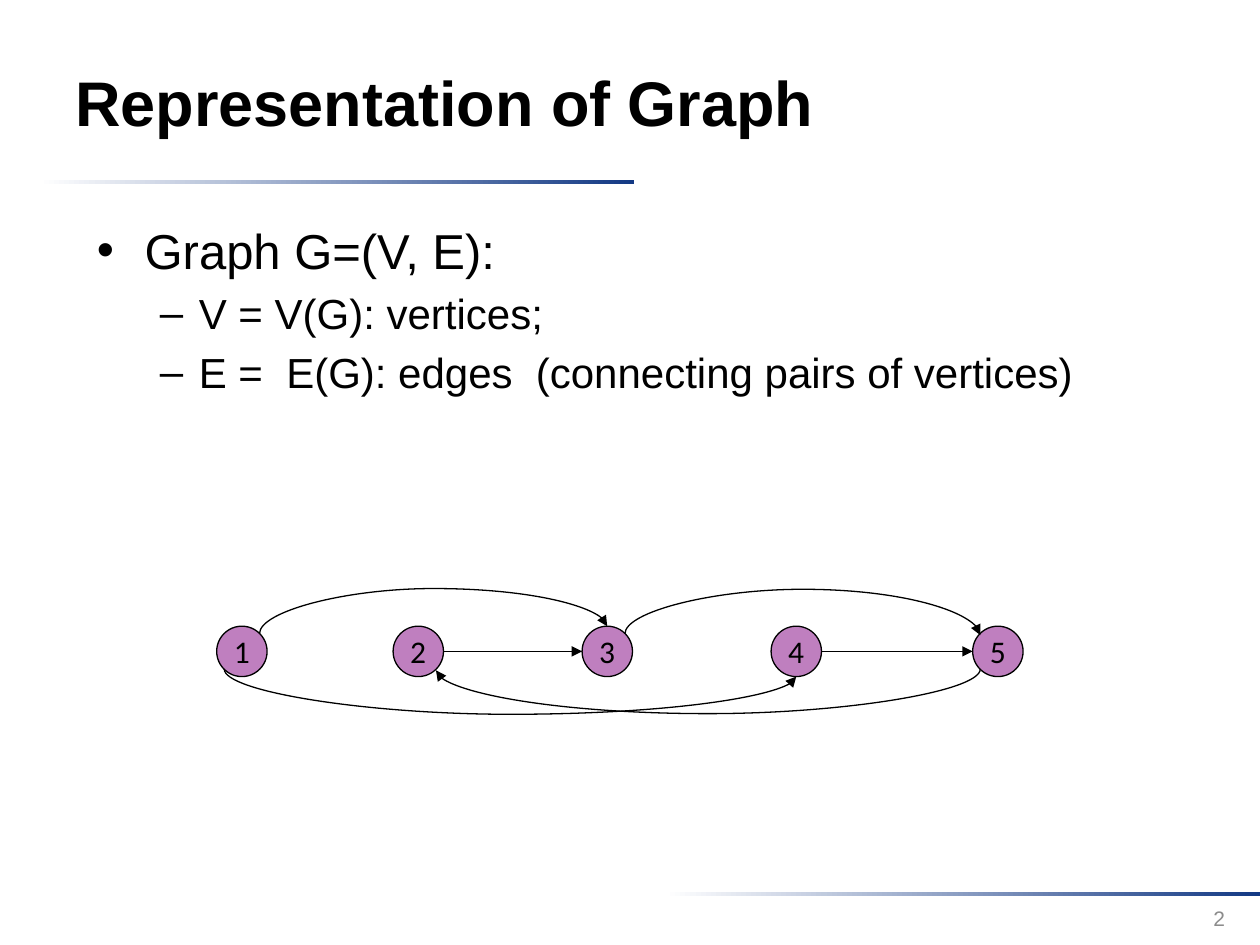
"""Build a slide on graph representation with a five-vertex directed graph."""
from lxml import etree
from pptx import Presentation
from pptx.dml.color import RGBColor
from pptx.enum.shapes import MSO_CONNECTOR, MSO_SHAPE
from pptx.enum.text import MSO_ANCHOR, PP_ALIGN
from pptx.oxml.ns import qn
from pptx.util import Inches, Pt

STRAIGHT, CURVE = MSO_CONNECTOR.STRAIGHT, MSO_CONNECTOR.CURVE
RECTANGLE, OVAL = MSO_SHAPE.RECTANGLE, MSO_SHAPE.OVAL
MIDDLE, TOP = MSO_ANCHOR.MIDDLE, MSO_ANCHOR.TOP
LEFT, CENTER, RIGHT = PP_ALIGN.LEFT, PP_ALIGN.CENTER, PP_ALIGN.RIGHT

BLACK = RGBColor(0x00, 0x00, 0x00)
WHITE = RGBColor(0xFF, 0xFF, 0xFF)
NAVY = RGBColor(0x13, 0x39, 0x84)
PURPLE = RGBColor(0x80, 0x00, 0x80)
GRAY = RGBColor(0x8C, 0x8C, 0x8C)

TITLE = "Representation of Graph"
PAGE_NUMBER = "2"
BULLETS = [
    (0, "Graph G=(V, E):"),
    (1, "V = V(G): vertices;"),
    (1, "E =  E(G): edges  (connecting pairs of vertices)"),
]
BULLET_STYLES = [("•", 28, 0.38, 0.38), ("–", 24, 0.81, 0.31)]
RULES = [(0.31, 1.43), (5.28, 7.08)]

VERTICES = {"1": 1.72, "2": 3.12, "3": 4.62, "4": 6.12, "5": 7.72}
VERTEX_TOP, DIAMETER = 4.97, 0.4
ARC_RISE = 0.3
STRAIGHT_EDGES = [("2", "3"), ("4", "5")]
CURVED_EDGES = [
    ("1", "bottom left", "4", "bottom", "below"),
    ("1", "top right", "3", "top", "above"),
    ("3", "top right", "5", "top left", "above"),
    ("5", "bottom left", "2", "bottom right", "below"),
]
DIAGONAL = 0.35
SITES = {
    "top": (0, 0, -0.5),
    "top left": (1, -DIAGONAL, -DIAGONAL),
    "left": (2, -0.5, 0),
    "bottom left": (3, -DIAGONAL, DIAGONAL),
    "bottom": (4, 0, 0.5),
    "bottom right": (5, DIAGONAL, DIAGONAL),
    "right": (6, 0.5, 0),
    "top right": (7, DIAGONAL, -DIAGONAL),
}
FLATTEST = 0.01


def add_run(paragraph, text, size, color=BLACK, font="Arial", bold=False):
    run = paragraph.add_run()
    run.text = text
    run.font.name, run.font.size = font, Pt(size)
    run.font.bold, run.font.color.rgb = bold, color


def add_text_box(slide, box, anchor):
    frame = slide.shapes.add_textbox(*map(Inches, box)).text_frame
    frame.word_wrap, frame.vertical_anchor = True, anchor
    return frame


def add_line_of_text(slide, box, text, size, color, alignment, bold=False):
    paragraph = add_text_box(slide, box, MIDDLE).paragraphs[0]
    paragraph.alignment = alignment
    add_run(paragraph, text, size, color, bold=bold)


def add_bullets(slide, box):
    frame = add_text_box(slide, box, TOP)
    for index, (level, text) in enumerate(BULLETS):
        paragraph = frame.add_paragraph() if index else frame.paragraphs[0]
        mark, size, margin, hanging = BULLET_STYLES[level]
        paragraph.level, paragraph.space_before = level, Pt(size * 0.2)
        properties = paragraph._p.get_or_add_pPr()
        properties.set("marL", str(Inches(margin)))
        properties.set("indent", str(-Inches(hanging)))
        etree.SubElement(properties, qn("a:buFont"), typeface="Arial")
        etree.SubElement(properties, qn("a:buChar"), char=mark)
        add_run(paragraph, text, size)


def add_rule(slide, left, top):
    rule = slide.shapes.add_shape(
        RECTANGLE, Inches(left), Inches(top), Inches(4.72), Inches(0.03))
    rule.shadow.inherit = False
    rule.line.fill.background()
    rule.fill.gradient()
    rule.fill.gradient_angle = 0
    for stop, color in zip(rule.fill.gradient_stops, (WHITE, NAVY)):
        stop.color.rgb = color


def add_vertex(group, label, left):
    vertex = group.shapes.add_shape(
        OVAL, Inches(left), Inches(VERTEX_TOP), Inches(DIAMETER), Inches(DIAMETER))
    vertex.shadow.inherit = False
    vertex.fill.solid()
    vertex.fill.fore_color.rgb = PURPLE
    color = vertex.fill._xPr.find(".//" + qn("a:srgbClr"))
    etree.SubElement(color, qn("a:alpha"), val="50000")
    vertex.line.color.rgb, vertex.line.width = BLACK, Pt(0.75)
    frame = vertex.text_frame
    frame.word_wrap, frame.vertical_anchor = False, MIDDLE
    frame.paragraphs[0].alignment = CENTER
    add_run(frame.paragraphs[0], label, 18, font="Calibri")
    return vertex


def site_point(label, site):
    _, across, down = SITES[site]
    return (VERTICES[label] + DIAMETER * (0.5 + across),
            VERTEX_TOP + DIAMETER * (0.5 + down))


def add_edge(group, vertices, kind, start, start_site, end, end_site):
    edge = group.shapes.add_connector(
        kind, *map(Inches, site_point(start, start_site) + site_point(end, end_site)))
    edge.line.color.rgb, edge.line.width = BLACK, Pt(0.75)
    line = edge.line._get_or_add_ln()
    etree.SubElement(line, qn("a:tailEnd"), type="triangle")
    etree.SubElement(edge._element.spPr, qn("a:effectLst"))
    links = edge._element.nvCxnSpPr.cNvCxnSpPr
    for tag, label, site in (("a:stCxn", start, start_site), ("a:endCxn", end, end_site)):
        etree.SubElement(links, qn(tag), id=str(vertices[label].shape_id),
                         idx=str(SITES[site][0]))
    return edge


def bend_edge(edge, start_point, end_point, side):
    (start_x, start_y), (end_x, end_y) = start_point, end_point
    drop = end_y - start_y
    if abs(drop) < FLATTEST:
        drop = FLATTEST
    crest = VERTEX_TOP - ARC_RISE if side == "above" else VERTEX_TOP + DIAMETER + ARC_RISE
    width, height = abs(drop), abs(end_x - start_x)
    edge.left = Inches((start_x + end_x - width) / 2)
    edge.top = Inches(start_y + (drop - height) / 2)
    edge.width, edge.height = Inches(width), Inches(height)

    upward, rightward = drop < 0, end_x > start_x
    transform = edge._element.spPr.find(qn("a:xfrm"))
    for flip in ("flipH", "flipV"):
        transform.attrib.pop(flip, None)
    transform.set("rot", str((270 if upward else 90) * 60000))
    if rightward != upward:
        transform.set("flipV", "1")
    adjustments = edge._element.spPr.find(qn("a:prstGeom")).get_or_add_avLst()
    bend = round((crest - start_y) / drop * 100000)
    etree.SubElement(adjustments, qn("a:gd"), name="adj1", fmla=f"val {bend}")


def add_graph(slide):
    group = slide.shapes.add_group_shape()
    vertices = {label: add_vertex(group, label, left) for label, left in VERTICES.items()}
    for start, end in STRAIGHT_EDGES:
        add_edge(group, vertices, STRAIGHT, start, "right", end, "left")
    for start, start_site, end, end_site, side in CURVED_EDGES:
        edge = add_edge(group, vertices, CURVE, start, start_site, end, end_site)
        bend_edge(edge, site_point(start, start_site), site_point(end, end_site), side)


def main():
    presentation = Presentation()
    presentation.slide_width, presentation.slide_height = Inches(10), Inches(7.5)
    slide = presentation.slides.add_slide(presentation.slide_layouts[6])
    for left, top in RULES:
        add_rule(slide, left, top)
    add_bullets(slide, (0.67, 1.7, 8.42, 2.08))
    add_graph(slide)
    add_line_of_text(slide, (0.5, 0.18, 7.73, 1.25), TITLE, 36, BLACK, LEFT, bold=True)
    add_line_of_text(slide, (7.49, 7.09, 2.33, 0.4), PAGE_NUMBER, 12, GRAY, RIGHT)
    presentation.save("out.pptx")


if __name__ == "__main__":
    main()
